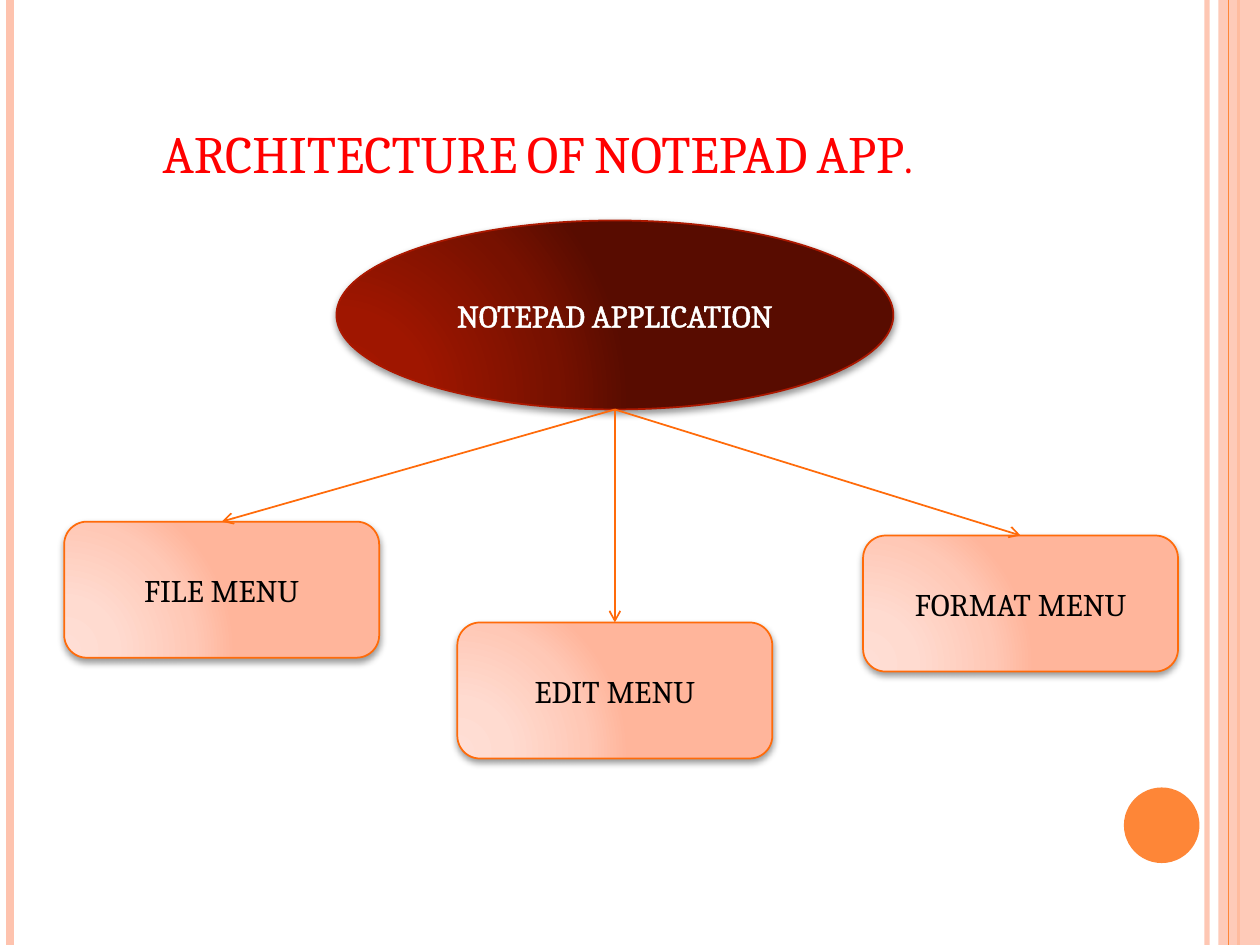
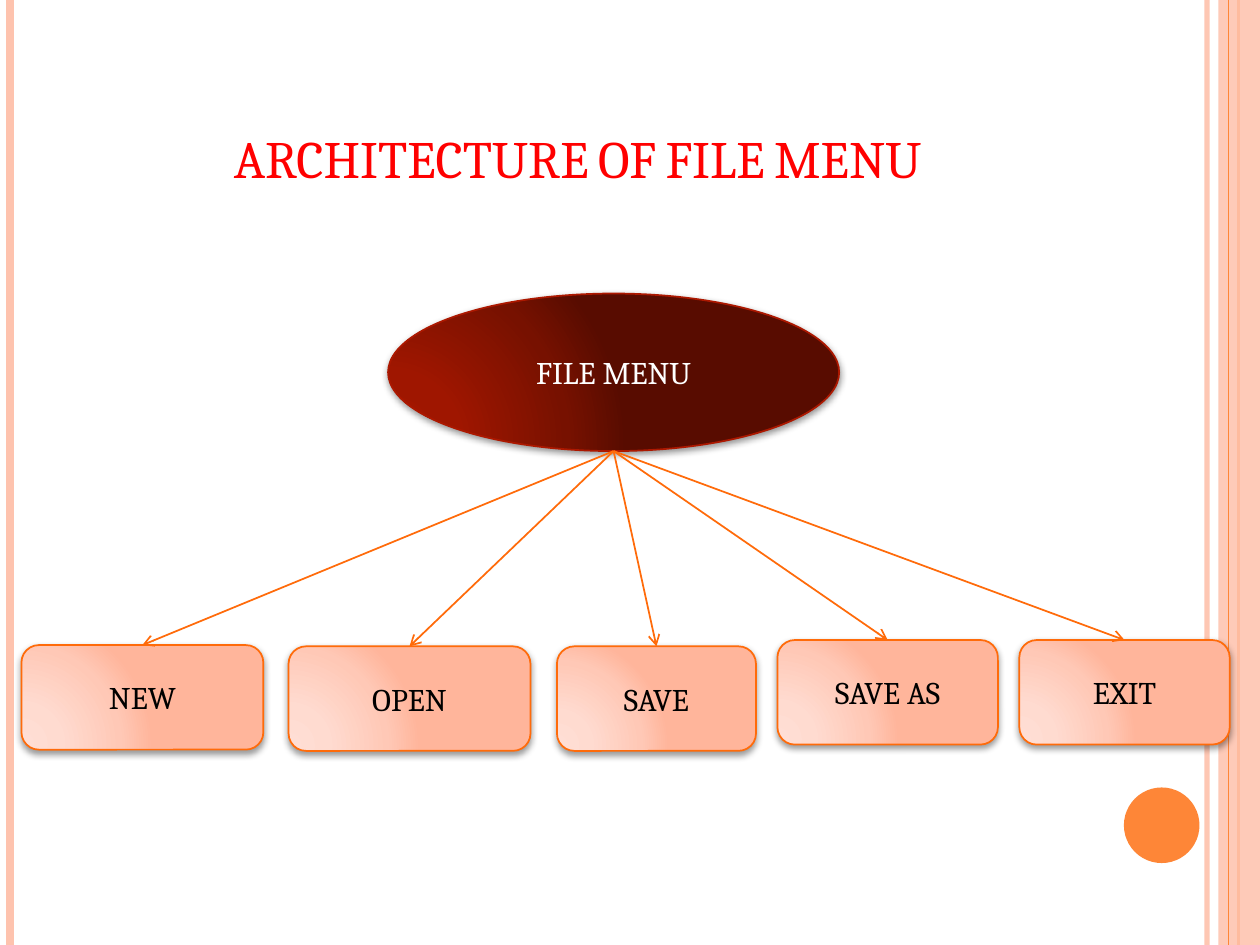
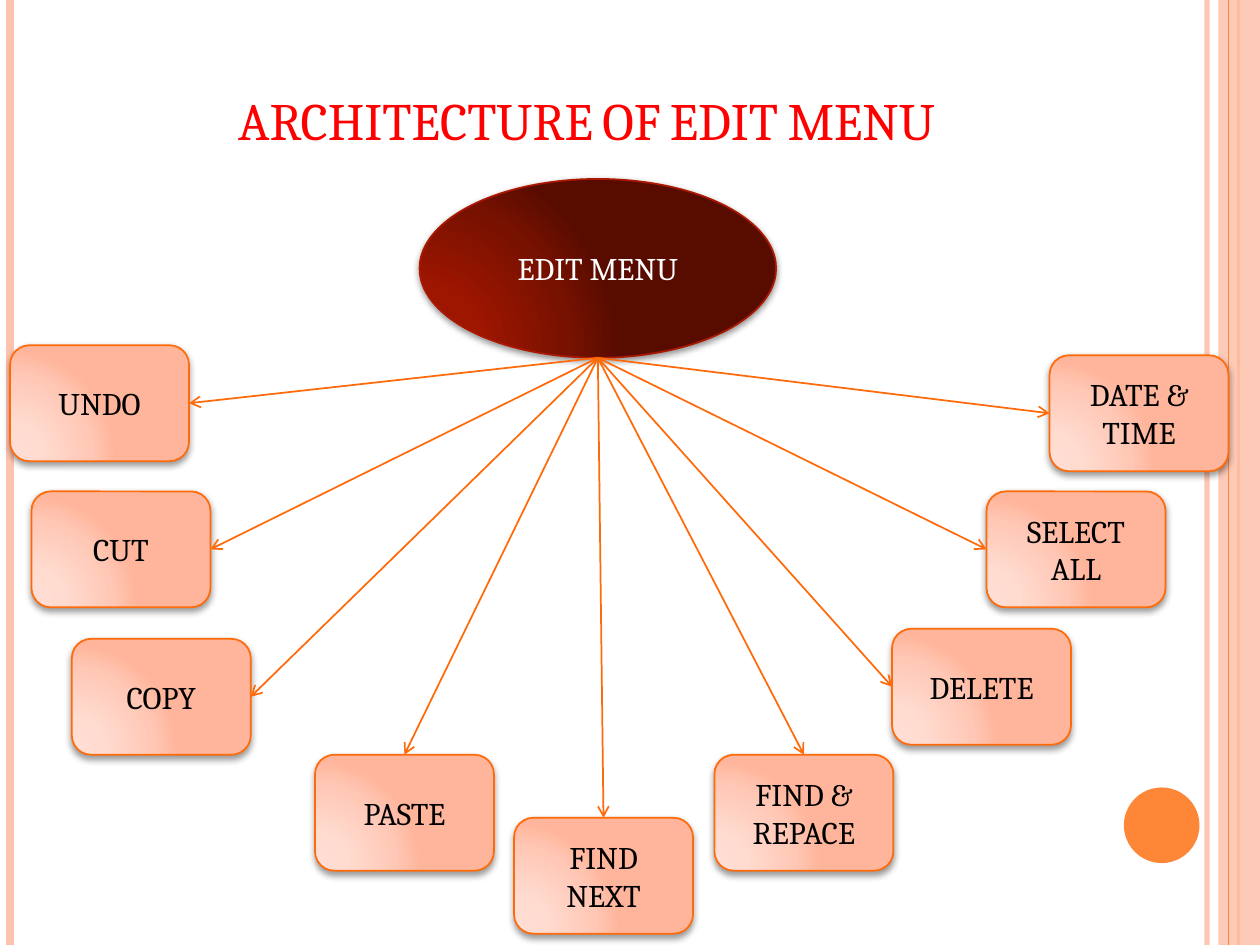
from lxml import etree
from pptx import Presentation
from pptx.dml.color import RGBColor
from pptx.enum.shapes import MSO_CONNECTOR, MSO_SHAPE
from pptx.enum.text import MSO_ANCHOR, MSO_AUTO_SIZE, PP_ALIGN
from pptx.oxml.ns import qn
from pptx.util import Inches, Pt

STRAIGHT = MSO_CONNECTOR.STRAIGHT
RECT, OVAL, ROUNDED = MSO_SHAPE.RECTANGLE, MSO_SHAPE.OVAL, MSO_SHAPE.ROUNDED_RECTANGLE
LEFT, CENTER = PP_ALIGN.LEFT, PP_ALIGN.CENTER
MIDDLE, BOTTOM = MSO_ANCHOR.MIDDLE, MSO_ANCHOR.BOTTOM
TO_TOP, TO_LEFT, TO_RIGHT = 0, 1, 3  # connection sites of a node

FONT = "Cambria"
WHITE = RGBColor(0xFF, 0xFF, 0xFF)
BLACK = RGBColor(0, 0, 0)
RED = RGBColor(0xFF, 0, 0)
PEACH = RGBColor(0xFE, 0xC3, 0xAE)
ORANGE = RGBColor(0xFE, 0x86, 0x37)
EDGE = RGBColor(0xFF, 0x6B, 0x0A)
HUB_EDGE = RGBColor(0xAC, 0x18, 0x00)
STOPS = (0, 30, 75, 100)
HUB_SHADES = [RGBColor.from_string(c) for c in ("A41700", "9F1600", "771100", "580C00")]
NODE_SHADES = [RGBColor.from_string(c) for c in ("FFDED5", "FFDBD0", "FFC8B6", "FFB59B")]


# Basic parts
def add_xml(parent, tag, **attrs):
    return etree.SubElement(parent, qn(tag), {k: str(v) for k, v in attrs.items()})


def set_alpha(fill_parent, percent):
    color = next(fill_parent.iter(qn("a:srgbClr")))
    add_xml(color, "a:alpha", val=percent * 1000)


def write(tf, text, size=18, color=BLACK, align=CENTER, anchor=MIDDLE,
          small_caps=False, outline=None):
    tf.word_wrap = True
    tf.auto_size = MSO_AUTO_SIZE.NONE
    tf.vertical_anchor = anchor
    p = tf.paragraphs[0]
    p.alignment = align
    r = p.add_run()
    r.text = text
    r.font.name, r.font.size, r.font.bold = FONT, Pt(size), False
    r.font.color.rgb = color
    props = r.font._element
    if small_caps:
        props.set("cap", "small")
    if outline:
        ln = etree.Element(qn("a:ln"), w=str(Pt(outline)))
        add_xml(add_xml(ln, "a:solidFill"), "a:srgbClr", val=color)
        props.insert(0, ln)


def add_line(slide, start, end, color, width):
    line = slide.shapes.add_connector(STRAIGHT, *map(Inches, start + end))
    line.line.color.rgb = color
    line.line.width = Pt(width)
    add_xml(line.element.spPr, "a:effectLst")
    return line


def add_flat(slide, kind, box, color):
    sp = slide.shapes.add_shape(kind, *map(Inches, box))
    sp.shadow.inherit = False
    sp.fill.solid()
    sp.fill.fore_color.rgb = color
    sp.line.fill.background()
    return sp


def add_shaded(slide, kind, box, shades, edge, shadow_alpha, shadow_dist):
    sp = add_flat(slide, kind, box, shades[-1])
    sp.line.color.rgb = edge
    sp.line.width = Pt(1)
    sp_pr = sp.element.spPr
    # Round gradient from the lower left
    grad = etree.Element(qn("a:gradFill"), rotWithShape="1")
    stops = add_xml(grad, "a:gsLst")
    for pos, shade in zip(STOPS, shades):
        add_xml(add_xml(stops, "a:gs", pos=pos * 1000), "a:srgbClr", val=shade)
    add_xml(add_xml(grad, "a:path", path="circle"), "a:fillToRect",
            l=5000, t=100000, r=120000, b=10000)
    sp_pr.replace(sp_pr.find(qn("a:solidFill")), grad)
    # Soft shadow below
    shadow = add_xml(sp_pr.find(qn("a:effectLst")), "a:outerShdw", blurRad=Pt(4),
                     dist=Pt(shadow_dist), dir=5400000, rotWithShape=0)
    add_xml(shadow, "a:srgbClr", val=BLACK)
    set_alpha(shadow, shadow_alpha)
    return sp


# Shared side bands, drawn once and moved to the layout
def add_bands(slide, layout, height=7.5):
    def band(x, color, width):
        return add_line(slide, (x, 0), (x, height), color, width)

    inner = band(9.58, PEACH, 3)
    set_alpha(inner.element.spPr, 93)
    left = band(0.08, PEACH, 4.5)
    outer = band(9.83, ORANGE, 1.5)
    strip = add_flat(slide, RECT, (9.67, 0, 0.33, height), PEACH)
    set_alpha(strip.element.spPr, 87)
    thin = band(9.75, ORANGE, 0.75)
    dot = add_flat(slide, OVAL, (8.92, 6.25, 0.6, 0.6), ORANGE)
    for number, part in enumerate((inner, left, outer, strip, thin, dot), 100):
        next(part.element.iter(qn("p:cNvPr"))).set("id", str(number))
        layout.shapes.element.append(part.element)


def add_title(slide, text, box, align):
    title = slide.shapes.title
    title.left, title.top, title.width, title.height = map(Inches, box)
    write(title.text_frame, text, size=30, color=RED, align=align,
          anchor=BOTTOM, small_caps=True)


# Hub with arrows to its nodes
def add_diagram(slide, hub_text, hub_box, node_height, nodes, outline=None):
    hub = add_shaded(slide, OVAL, hub_box, HUB_SHADES, HUB_EDGE, 42, 1.6)
    write(hub.text_frame, hub_text, color=WHITE, outline=outline)
    left, top, width, height = hub_box
    start = (left + width / 2, top + height)
    targets = []
    for text, x, y, node_width, site in nodes:
        box = (x, y, node_width, node_height)
        node = add_shaded(slide, ROUNDED, box, NODE_SHADES, EDGE, 40, 2)
        write(node.text_frame, text)
        targets.append((node, site))
    for node, site in targets:
        arrow = add_line(slide, start, start, EDGE, 1)
        arrow.end_connect(node, site)
        add_xml(arrow.line._ln, "a:tailEnd", type="arrow")


NODE_W = 1.42
SLIDES = [
    dict(title=("ARCHITECTURE OF NOTEPAD APP.", (1.19, 0.26, 8.17, 1.25), LEFT),
         hub_text="NOTEPAD APPLICATION", hub_box=(2.67, 1.75, 4.42, 1.5),
         outline=1.45, node_height=1.08,
         nodes=[("FILE MENU", 0.51, 4.14, 2.5, TO_TOP),
                ("FORMAT MENU", 6.85, 4.25, 2.5, TO_TOP),
                ("EDIT MENU", 3.63, 4.94, 2.5, TO_TOP)]),
    dict(title=("ARCHITECTURE OF FILE MENU", (0.5, 0.3, 8.17, 1.25), CENTER),
         hub_text="FILE MENU", hub_box=(3.08, 2.33, 3.58, 1.25), node_height=0.83,
         nodes=[("NEW", 0.17, 5.12, 1.92, TO_TOP),
                ("OPEN", 2.29, 5.13, 1.92, TO_TOP),
                ("SAVE", 4.42, 5.13, 1.58, TO_TOP),
                ("SAVE AS", 6.17, 5.08, 1.75, TO_TOP),
                ("EXIT", 8.09, 5.08, 1.67, TO_TOP)]),
    dict(title=("ARCHITECTURE OF EDIT MENU", (0.57, 0.3, 8.17, 0.95), CENTER),
         hub_text="EDIT MENU", hub_box=(3.33, 1.42, 2.83, 1.42), node_height=0.92,
         nodes=[("UNDO", 0.08, 2.74, NODE_W, TO_RIGHT),
                ("CUT", 0.25, 3.9, NODE_W, TO_RIGHT),
                ("COPY", 0.57, 5.07, NODE_W, TO_RIGHT),
                ("PASTE", 2.5, 5.99, NODE_W, TO_TOP),
                ("FIND NEXT", 4.08, 6.49, NODE_W, TO_TOP),
                ("FIND & REPACE", 5.67, 5.99, NODE_W, TO_TOP),
                ("DELETE", 7.08, 4.99, NODE_W, TO_LEFT),
                ("SELECT ALL", 7.83, 3.9, NODE_W, TO_LEFT),
                ("DATE & TIME", 8.33, 2.82, NODE_W, TO_LEFT)]),
]


def main():
    prs = Presentation()
    prs.slide_width, prs.slide_height = Inches(10), Inches(7.5)
    layout = prs.slide_layouts.get_by_name("Title Only")
    for number, content in enumerate(SLIDES):
        slide = prs.slides.add_slide(layout)
        if number == 0:
            add_bands(slide, layout)
        diagram = dict(content)
        add_title(slide, *diagram.pop("title"))
        add_diagram(slide, **diagram)
    prs.save("out.pptx")


if __name__ == "__main__":
    main()
